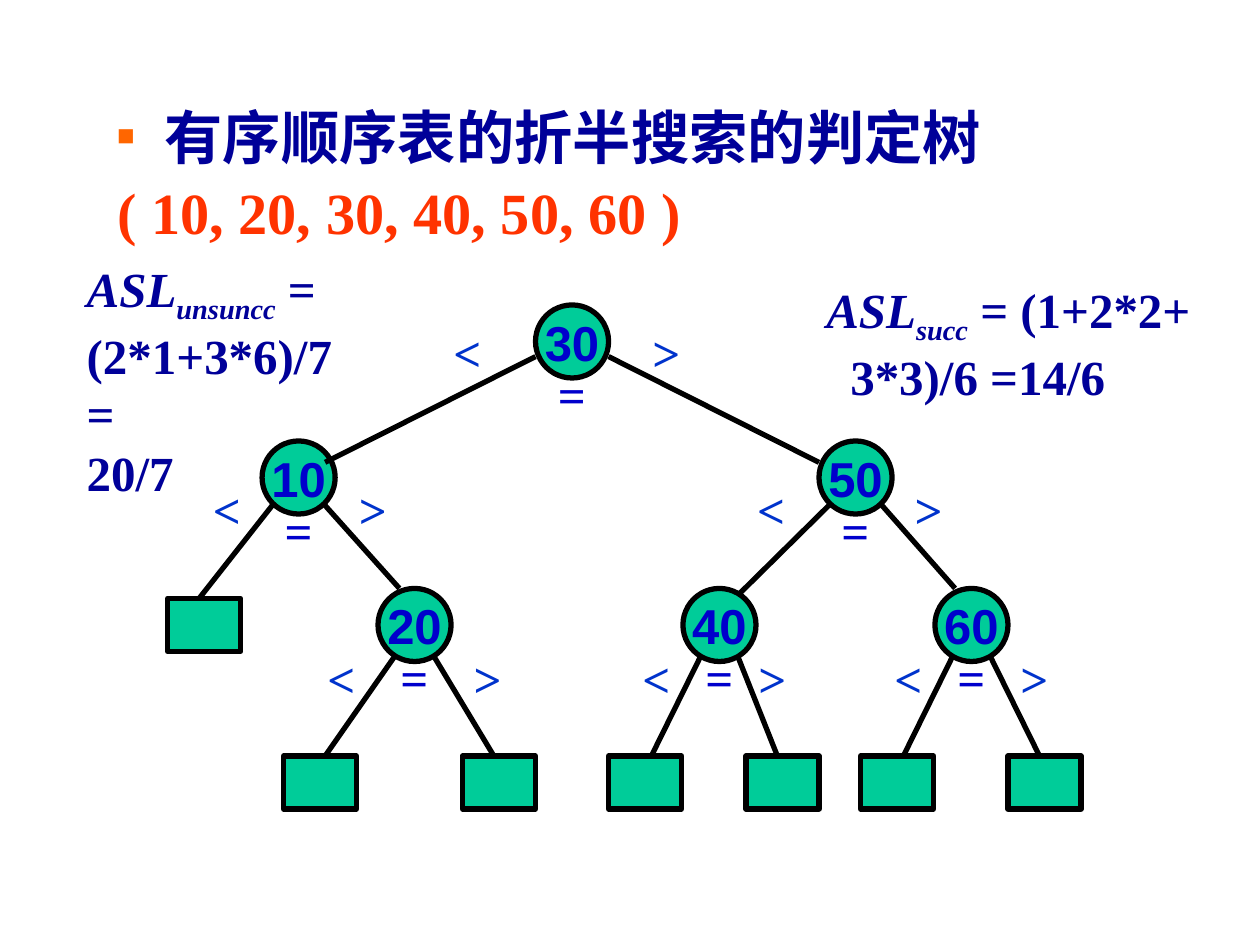
import dataclasses
import typing

import lxml.etree
import pptx
import pptx.dml.color
import pptx.enum.shapes
import pptx.enum.text
import pptx.oxml
import pptx.oxml.ns
import pptx.util

Inches = pptx.util.Inches
Pt = pptx.util.Pt
Shape = pptx.enum.shapes.MSO_SHAPE
Anchor = pptx.enum.text.MSO_ANCHOR
Align = pptx.enum.text.PP_ALIGN
Fit = pptx.enum.text.MSO_AUTO_SIZE
qn = pptx.oxml.ns.qn


@dataclasses.dataclass(frozen=True)
class Theme:
    fill: str = "00CC99"
    line: str = "000000"
    key: str = "0000CC"
    mark: str = "0033CC"
    text: str = "000099"
    list: str = "FF3300"
    bullet: str = "FF6600"
    serif: str = "Times New Roman"
    sans: str = "Arial"
    head: float = 33.3
    body: float = 28
    width: float = 3


class Level(typing.NamedTuple):
    top: float
    inset: float  # branch start, in from each side of the circle
    drop: float   # branch start, down from the circle's top
    mark: float   # "<" and ">", down from the circle's top
    ends: tuple[float, float]


class Node(typing.NamedTuple):
    key: str
    left: float
    level: Level
    ends: tuple[float, float]
    marks: tuple[float, float]


class Part(typing.NamedTuple):
    text: str
    italic: bool = False
    sub: bool = False


class Note(typing.NamedTuple):
    box: tuple[float, float, float, float]
    lines: list[list[Part]]
    indent: float = 0


THEME = Theme()
SIZE = 0.58
LEAF_TOP = 6
LEAVES = (1.33, 4.75), *((x, LEAF_TOP) for x in (2.25, 3.67, 4.83, 5.92, 6.83, 8))
ROOT = Level(2.42, 0, 0.41, 0.09, (3.67, 3.67))
MID = Level(3.5, 0.09, 0.5, 0.26, (4.75, 4.67))
LOW = Level(4.67, 0.16, 0.5, 0.43, (LEAF_TOP, LEAF_TOP))
UPPER = [
    Node("30", 4.25, ROOT, (2.58, 6.5), (3.5, 5.08)),
    Node("10", 2.08, MID, (1.58, 3.17), (1.59, 2.75)),
    Node("50", 6.5, MID, (5.83, 7.58), (5.91, 7.16)),
]
LOWER = [
    Node("20", 3, LOW, (2.58, 3.92), (2.5, 3.66)),
    Node("40", 5.42, LOW, (5.17, 6.17), (5, 5.92)),
    Node("60", 7.42, LOW, (7.17, 8.25), (7, 8)),
]
NOTES = [
    Note((0.59, 2, 2.46, 1.57), [
        [Part("ASL", True), Part("unsuncc", True, True), Part(" =")],
        [Part("(2*1+3*6)/7 =")],
        [Part("20/7")],
    ]),
    Note((6.46, 2.17, 3.09, 1.1), [
        [Part("ASL", True), Part("succ", True, True), Part(" = (1+2*2+")],
        [Part("3*3)/6 =14/6")],
    ], 0.19),
]


def apply(target, values: dict) -> None:
    for name, value in values.items():
        setattr(target, name, value)


def style(font, color: str, name: str = THEME.serif, size: float = THEME.body) -> None:
    apply(font, {"name": name, "size": Pt(size), "bold": True})
    font.color.rgb = pptx.dml.color.RGBColor.from_string(color)


def outline(shape) -> None:
    shape.line.color.rgb = pptx.dml.color.RGBColor.from_string(THEME.line)
    shape.line.width = Pt(THEME.width)


def draw_shape(slide, kind, left: float, top: float, high: float):
    shape = slide.shapes.add_shape(
        kind, Inches(left), Inches(top), Inches(SIZE), Inches(high))
    shape.shadow.inherit = False
    shape.fill.solid()
    shape.fill.fore_color.rgb = pptx.dml.color.RGBColor.from_string(THEME.fill)
    outline(shape)
    return shape


def draw_node(slide, node: Node) -> None:
    frame = draw_shape(slide, Shape.OVAL, node.left, node.level.top, SIZE).text_frame
    apply(frame, {"word_wrap": False, "vertical_anchor": Anchor.MIDDLE})
    par = frame.paragraphs[0]
    apply(par, {"text": node.key, "alignment": Align.CENTER})
    style(par.runs[0].font, THEME.key, THEME.sans)


def draw_lines(slide, node: Node) -> None:
    level = node.level
    starts = node.left + level.inset, node.left + SIZE - level.inset
    for start, end, low in zip(starts, node.ends, level.ends):
        line = slide.shapes.add_connector(
            pptx.enum.shapes.MSO_CONNECTOR.STRAIGHT, Inches(start),
            Inches(level.top + level.drop), Inches(end), Inches(low))
        outline(line)
        lxml.etree.SubElement(line._element.spPr, qn("a:effectLst"))


def add_frame(slide, box: tuple):
    frame = slide.shapes.add_textbox(*map(Inches, box)).text_frame
    apply(frame, {"word_wrap": False, "auto_size": Fit.SHAPE_TO_FIT_TEXT})
    return frame


def draw_marks(slide, node: Node) -> None:
    top = node.level.top
    less, more = node.marks
    for sign, left, drop, color in (
        ("<", less, node.level.mark, THEME.mark),
        ("=", node.left + 0.08, 0.42, THEME.key),
        (">", more, node.level.mark, THEME.mark),
    ):
        par = add_frame(slide, (left, top + drop, 0.42, 0.57)).paragraphs[0]
        par.text = sign
        style(par.runs[0].font, color)


def draw_note(slide, note: Note) -> None:
    frame = add_frame(slide, note.box)
    for row, parts in enumerate(note.lines):
        par = frame.add_paragraph() if row else frame.paragraphs[0]
        if row and note.indent:
            par._p.get_or_add_pPr().set("marL", str(Inches(note.indent)))
        for part in parts:
            run = par.add_run()
            run.text = part.text
            style(run.font, THEME.text)
            run.font.italic = part.italic
            if part.sub:
                run.font._element.set("baseline", "-25000")


def set_bullet(par, left: float, hang: float, char: str = "") -> None:
    """Set the indent and the bullet; no char means no bullet."""
    props = par._p.get_or_add_pPr()
    apply(props, {"marL": Inches(left), "indent": Inches(-hang)})
    if not char:
        lxml.etree.SubElement(props, qn("a:buNone"))
        return
    color = lxml.etree.SubElement(props, qn("a:buClr"))
    lxml.etree.SubElement(color, qn("a:srgbClr"), val=THEME.bullet)
    lxml.etree.SubElement(props, qn("a:buSzPct"), val="50000")
    lxml.etree.SubElement(props, qn("a:buFont"), typeface=THEME.sans)
    lxml.etree.SubElement(props, qn("a:buChar"), char=char)


def fill_body(body) -> None:
    apply(body, dict(zip(("left", "top", "width", "height"),
                         map(Inches, (0.83, 0.75, 8.17, 1.33)))))
    frame = body.text_frame
    apply(frame, {"auto_size": Fit.NONE, "vertical_anchor": Anchor.TOP})
    frame.text = "有序顺序表的折半搜索的判定树\n( 10, 20, 30, 40, 50, 60 )"
    head, keys = frame.paragraphs
    set_bullet(head, 0.38, 0.38, "■")
    set_bullet(keys, 2.19, 0)
    for par, color, gap in (head, THEME.text, 0), (keys, THEME.list, 3):
        par.space_before = Pt(gap)
        style(par.runs[0].font, color, size=THEME.head)


def main() -> None:
    deck = pptx.Presentation()
    apply(deck, {"slide_width": Inches(10), "slide_height": Inches(7.5)})
    slide = deck.slides.add_slide(deck.slide_layouts[1])
    title = slide.shapes.title._element
    title.getparent().remove(title)
    fill_body(slide.placeholders[1])
    for node in UPPER:
        draw_node(slide, node)
    for left, top in LEAVES:
        draw_shape(slide, Shape.RECTANGLE, left, top, 0.42)
    for node in UPPER + LOWER:
        draw_lines(slide, node)
        draw_marks(slide, node)
    for node in LOWER:
        draw_node(slide, node)
    for note in NOTES:
        draw_note(slide, note)
    deck.save("out.pptx")


if __name__ == "__main__":
    main()
